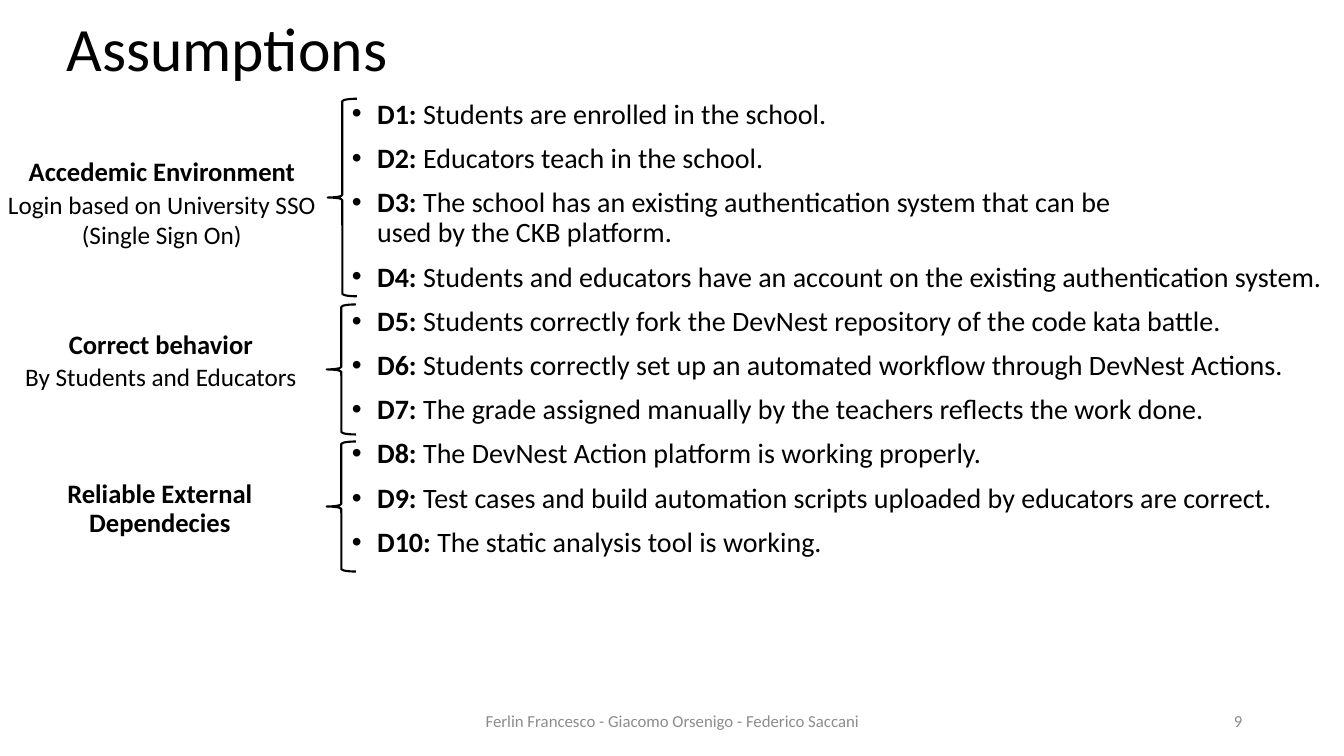
from dataclasses import dataclass

from lxml import etree
from pptx import Presentation
from pptx.dml.color import RGBColor
from pptx.enum import shapes, text
from pptx.oxml import ns
from pptx.util import Inches, Pt

INK = {"black": "000000", "grey": "8C8C8C"}
ALIGN = text.PP_ALIGN
ANCHOR = text.MSO_ANCHOR


@dataclass
class Box:
    left: float
    top: float
    width: float
    height: float


@dataclass
class Group:
    brace: Box
    head: str
    label: Box
    note: str = ""
    below: Box | None = None


ITEMS = [
    "Students are enrolled in the school.",
    "Educators teach in the school.",
    "The school has an existing authentication system that can be \nused by the CKB platform.",
    "Students and educators have an account on the existing authentication system.",
    "Students correctly fork the DevNest repository of the code kata battle.",
    "Students correctly set up an automated workflow through DevNest Actions.",
    "The grade assigned manually by the teachers reflects the work done.",
    "The DevNest Action platform is working properly.",
    "Test cases and build automation scripts uploaded by educators are correct.",
    "The static analysis tool is working.",
]

GROUPS = [
    Group(Box(3.25, 0.98, 0.29, 1.96), "Accedemic Environment", Box(0.04, 1.52, 3.13, 0.44),
          "Login based on University SSO\n(Single Sign On)", Box(-1.78, 1.83, 6.77, 0.71)),
    Group(Box(3.24, 3.02, 0.29, 1.29), "Correct behavior", Box(0.03, 3.24, 3.13, 0.44),
          "By Students and Educators", Box(-1.79, 3.54, 6.77, 0.4)),
    Group(Box(3.24, 4.38, 0.29, 1.29), "Reliable External Dependecies", Box(0, 4.72, 3.17, 0.44)),
]


def place(shape, box: Box) -> None:
    shape.left, shape.top = Inches(box.left), Inches(box.top)
    shape.width, shape.height = Inches(box.width), Inches(box.height)


def write(para, words: str, size: float = 18, bold: bool = False, color: str = "black",
          align=ALIGN.LEFT, line: float = 1.0, before: float = 0) -> None:
    para.alignment, para.line_spacing, para.space_before = align, line, Pt(before)
    for i, part in enumerate(words.split("\n")):
        if i:
            para.add_line_break()
        run = para.add_run()
        run.text = part
        font = run.font
        font.name, font.size, font.bold = "Calibri", Pt(size), bold
        font.color.rgb = RGBColor.from_string(INK[color])


def setup(shape, box: Box, anchor=ANCHOR.TOP):
    place(shape, box)
    frame = shape.text_frame
    frame.word_wrap, frame.auto_size = True, text.MSO_AUTO_SIZE.NONE
    frame.vertical_anchor = anchor
    return frame


def label(slide, box: Box, words: str, anchor=ANCHOR.TOP, **form) -> None:
    frame = setup(slide.shapes.add_textbox(0, 0, 0, 0), box, anchor)
    write(frame.paragraphs[0], words, **form)


def bullet(para) -> None:
    props = para._p.get_or_add_pPr()
    props.set("marL", str(Inches(0.25)))
    props.set("indent", str(-Inches(0.25)))
    etree.SubElement(props, ns.qn("a:buFont")).set("typeface", "Arial")
    etree.SubElement(props, ns.qn("a:buChar")).set("char", "•")


def listing(shape) -> None:
    frame = setup(shape, Box(3.39, 0.94, 10.73, 5.88))
    for i, item in enumerate(ITEMS):
        para = frame.add_paragraph() if i else frame.paragraphs[0]
        form = {"size": 20, "line": 0.9, "before": 10}
        write(para, f"D{i + 1}: ", bold=True, **form)
        write(para, item, **form)
        bullet(para)


def draw(slide, group: Group) -> None:
    brace = slide.shapes.add_shape(shapes.MSO_SHAPE.LEFT_BRACE, 0, 0, 0, 0)
    place(brace, group.brace)
    brace.shadow.inherit = False
    brace.fill.background()
    brace.line.color.rgb = RGBColor.from_string(INK["black"])
    brace.line.width = Pt(1.5)
    label(slide, group.label, group.head, size=19, bold=True, align=ALIGN.CENTER,
          line=0.9, before=10)
    if group.below:
        label(slide, group.below, group.note, align=ALIGN.CENTER)


def main() -> None:
    """Build the assumptions slide and save it."""
    deck = Presentation()
    deck.slide_width, deck.slide_height = Inches(13.33), Inches(7.5)
    slide = deck.slides.add_slide(deck.slide_layouts[1])
    title = setup(slide.shapes.title, Box(0.56, 0.07, 12.36, 0.88), ANCHOR.MIDDLE)
    write(title.paragraphs[0], "Assumptions", size=44, line=0.9)
    listing(slide.placeholders[1])
    for group in GROUPS:
        draw(slide, group)
    foot = {"anchor": ANCHOR.MIDDLE, "size": 12, "color": "grey"}
    label(slide, Box(4.42, 6.95, 4.5, 0.4), "Ferlin Francesco - Giacomo Orsenigo - Federico Saccani",
          align=ALIGN.CENTER, **foot)
    label(slide, Box(9.42, 6.95, 3, 0.4), "9", align=ALIGN.RIGHT, **foot)
    deck.save("out.pptx")


if __name__ == "__main__":
    main()
